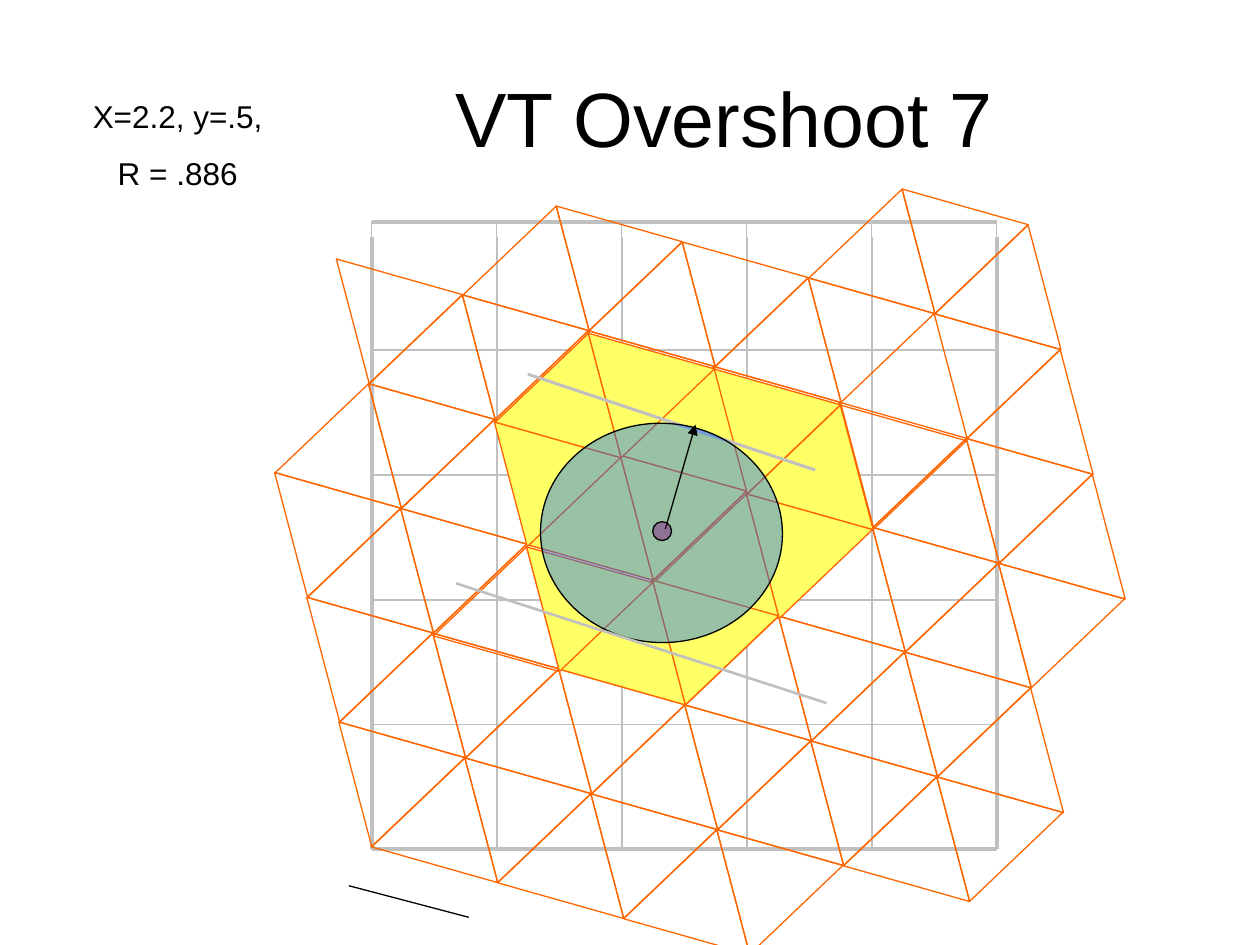
from lxml.etree import SubElement
from pptx import Presentation
from pptx.dml.color import RGBColor
from pptx.enum.shapes import MSO_CONNECTOR, MSO_SHAPE
from pptx.enum.text import MSO_ANCHOR, MSO_AUTO_SIZE, PP_ALIGN
from pptx.oxml.ns import qn
from pptx.util import Inches, Pt

COLORS = {"grid": "C0C0C0", "mesh": "FF6600", "hit": "FFFF66",
          "circle": "0066FF", "center": "800080", "ink": "000000"}


def add_outline(group, kind, box, line, fill=None, alpha=None, rotation=0):
    shape = group.shapes.add_shape(kind, *[Inches(value) for value in box])
    shape.shadow.inherit = False
    shape.rotation = rotation
    shape.line.color.rgb = RGBColor.from_string(COLORS[line])
    shape.line.width = Pt(0.75)
    if fill is None:
        shape.fill.background()
    else:
        shape.fill.solid()
        shape.fill.fore_color.rgb = RGBColor.from_string(COLORS[fill])
    if alpha:
        color = shape.fill._xPr.find(qn("a:solidFill"))[0]
        SubElement(color, qn("a:alpha")).set("val", str(alpha * 1000))


def add_line(group, start, end, color, width, arrow=False):
    points = [Inches(value) for value in (*start, *end)]
    connector = group.shapes.add_connector(MSO_CONNECTOR.STRAIGHT, *points)
    connector.line.color.rgb = RGBColor.from_string(COLORS[color])
    connector.line.width = Pt(width)
    if arrow:
        SubElement(connector.line._get_or_add_ln(), qn("a:tailEnd")).set("type", "triangle")
    SubElement(connector._element.spPr, qn("a:effectLst"))


presentation = Presentation()
presentation.slide_width, presentation.slide_height = Inches(10), Inches(7.5)
slide = presentation.slides.add_slide(presentation.slide_layouts[5])

# Square grid; the two middle cells under the hit area are left out
mesh_group = slide.shapes.add_group_shape()
columns = [2.95 + 0.992 * index for index in range(6)]
rows = [1.76] + [2.78 + 0.99 * index for index in range(5)]
for row in reversed(range(5)):
    for column in reversed(range(5)):
        if column == 2 and row in (1, 2):
            continue
        box = (columns[column], rows[row], 0.99, rows[row + 1] - rows[row])
        add_outline(mesh_group, MSO_SHAPE.RECTANGLE, box, "grid")
for y in rows:
    width = 2.25 if y in (rows[0], rows[-1]) else 1
    add_line(mesh_group, (columns[0], y), (columns[-1], y), "grid", width)
for x in columns:
    width = 2.25 if x in (columns[0], columns[-1]) else 1
    add_line(mesh_group, (x, 1.88), (x, rows[-1]), "grid", width)

# Triangle mesh: cells are (row, step) on a skewed lattice, pointing up or down
STEP, ROW = (1.0, 0.285), (0.255, 0.99)
ORIGIN = {"up": (4.03, 2.61), "down": (4.53, 2.75)}
ROTATION = {"up": 15.8, "down": 195.8}
SPANS = {
    "up": {-2: [3, 4], -1: [0, 1, 2, 4], 0: range(-1, 5), 1: range(-2, 4),
           2: range(-2, 4), 3: range(-2, 3), 4: range(-2, 1)},
    "down": {-2: [3], -1: range(4), 0: range(-2, 4), 1: range(-2, 4),
             2: range(-3, 3), 3: range(-3, 3), 4: range(-3, 1)},
}
HIT = {"up": [(0, 1), (1, 0), (2, 0)], "down": [(1, 0), (2, 0)]}
# Cells covered by two triangles, a hair apart
HIT_TWICE = {"up": [(0, 0), (0, 2), (1, 1)],
             "down": [(0, 0), (0, 1), (1, 1), (1, -1), (2, -1)]}
PLAIN_TWICE = {"up": [(2, -1)], "down": [(0, 2)]}

triangles = []
for way, spans in SPANS.items():
    cells = [(row, step) for row, steps in spans.items() for step in steps]
    triangles += [(way, cell, None, 0) for cell in cells if cell not in HIT[way]]
    triangles += [(way, cell, None, 0.02) for cell in PLAIN_TWICE[way]]
for way in SPANS:
    triangles += [(way, cell, "hit", 0) for cell in HIT[way]]
    triangles += [(way, cell, "hit", 0.02) for cell in HIT_TWICE[way]]
for way, (row, step), fill, shift in triangles:
    left, top = [ORIGIN[way][axis] + step * STEP[axis] + row * ROW[axis] for axis in (0, 1)]
    add_outline(mesh_group, MSO_SHAPE.ISOSCELES_TRIANGLE, (left, top + shift, 1.04, 0.88),
                "mesh", fill, rotation=ROTATION[way])
add_line(mesh_group, (2.77, 7.03), (3.72, 7.28), "ink", 0.75)

# Search circle with its radius and bounding lines
circle_group = slide.shapes.add_group_shape()
add_line(circle_group, (6.47, 3.73), (4.19, 2.97), "grid", 1.75)
add_outline(circle_group, MSO_SHAPE.OVAL, (4.29, 3.36, 1.92, 1.74), "ink", "circle", 40, 2.5)
add_line(circle_group, (5.28, 4.2), (5.52, 3.37), "ink", 0.75, arrow=True)
add_line(circle_group, (6.56, 5.58), (3.62, 4.63), "grid", 1.5)
add_outline(circle_group, MSO_SHAPE.OVAL, (5.18, 4.14, 0.15, 0.15), "ink", "center", 40, 58)

# Title and parameters
title = slide.shapes.title
title.left, title.top, title.width, title.height = [Inches(v) for v in (1.25, 0.3, 9, 1.25)]
title.text_frame.text = "VT Overshoot 7"
title.text_frame.vertical_anchor = MSO_ANCHOR.MIDDLE
parameters = slide.shapes.add_textbox(Inches(0.6), Inches(0.72), Inches(1.62), Inches(0.86))
parameters.text_frame.word_wrap = True
parameters.text_frame.auto_size = MSO_AUTO_SIZE.SHAPE_TO_FIT_TEXT
parameters.text_frame.text = "X=2.2, y=.5,\nR = .886"
parameters.text_frame.paragraphs[1].space_before = Pt(11.2)
for shape, size in ((title, 44), (parameters, 18)):
    for paragraph in shape.text_frame.paragraphs:
        paragraph.alignment = PP_ALIGN.CENTER
        for run in paragraph.runs:
            run.font.name = "Arial"
            run.font.size = Pt(size)
            run.font.color.rgb = RGBColor.from_string(COLORS["ink"])

presentation.save("out.pptx")
